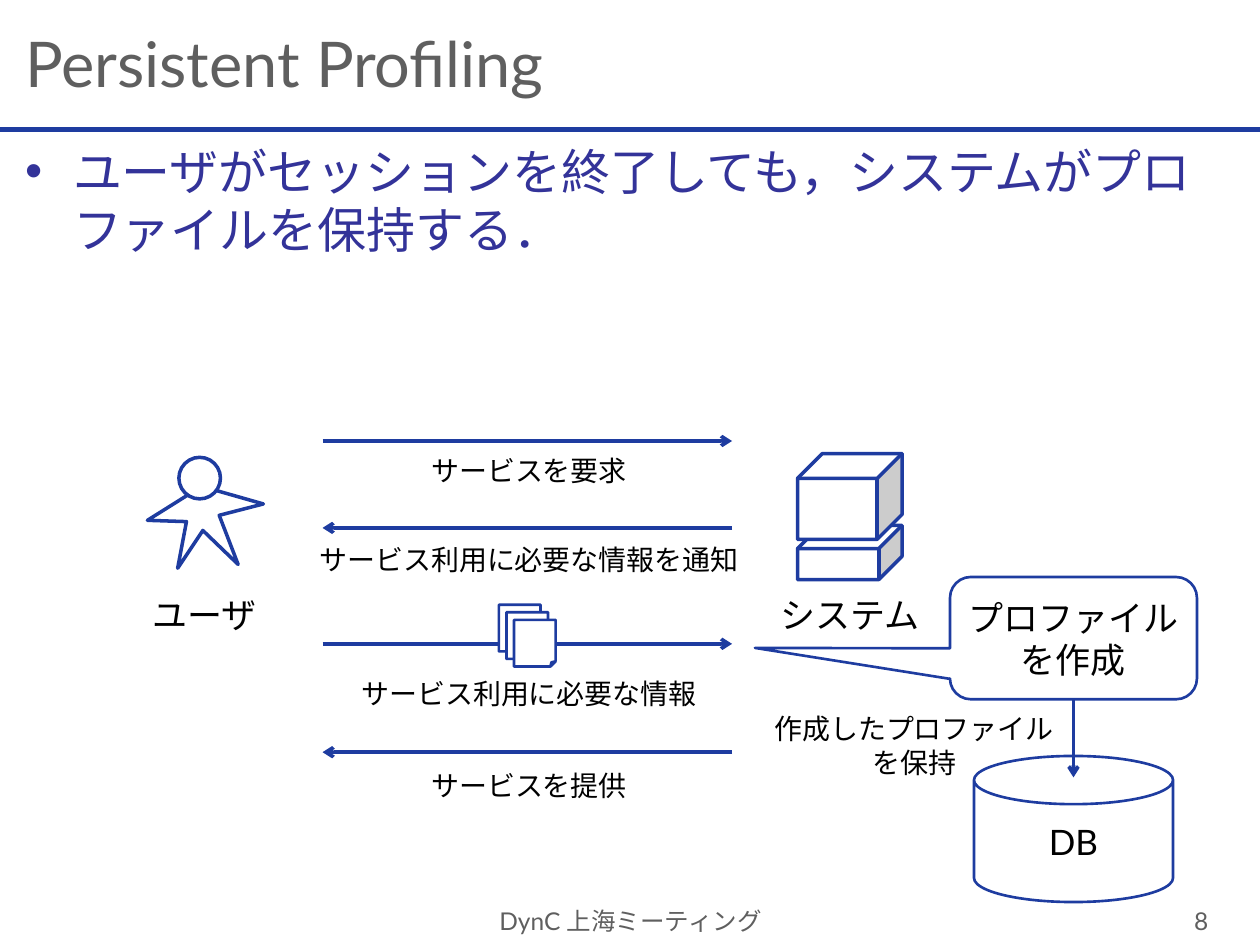
from collections import namedtuple

from lxml.etree import SubElement
from pptx import Presentation
from pptx.dml.color import RGBColor
from pptx.enum.shapes import MSO_CONNECTOR, MSO_SHAPE
from pptx.enum.text import MSO_ANCHOR, MSO_AUTO_SIZE, PP_ALIGN
from pptx.oxml.ns import qn
from pptx.util import Inches, Pt

COLORS = {
    "line": "1E3CA0",
    "body": "333399",
    "gray": "5F5F5F",
    "text": "000000",
    "fill": "FFFFFF",
}
FONT = "Lato"
Box = namedtuple("Box", "left top width height")


def color(name):
    return RGBColor.from_string(COLORS[name])


def place(shape, box):
    shape.left, shape.top, shape.width, shape.height = map(Inches, box)


def write(shape, lines, size, ink="text", align=PP_ALIGN.CENTER, anchor=MSO_ANCHOR.TOP, wrap=True):
    frame = shape.text_frame
    frame.auto_size = MSO_AUTO_SIZE.NONE
    frame.word_wrap = wrap
    frame.vertical_anchor = anchor
    for number, line in enumerate(lines):
        para = frame.add_paragraph() if number else frame.paragraphs[0]
        para.alignment = align
        span = para.add_run()
        span.text = line
        span.font.name = FONT
        span.font.size = Pt(size)
        span.font.color.rgb = color(ink)


def add_label(page, box, lines, size, **style):
    label = page.shapes.add_textbox(*map(Inches, box))
    write(label, lines, size, **style)


def paint(shape, weight):
    shape.shadow.inherit = False
    shape.fill.solid()
    shape.fill.fore_color.rgb = color("fill")
    shape.line.color.rgb = color("line")
    shape.line.width = Pt(weight)


def add_preset(page, kind, box, weight, guides):
    shape = page.shapes.add_shape(kind, *map(Inches, box))
    paint(shape, weight)
    values = shape._element.spPr.find(qn("a:prstGeom")).get_or_add_avLst()
    for guide in list(values):
        values.remove(guide)
    for name, value in guides.items():
        SubElement(values, qn("a:gd"), name=name, fmla=f"val {round(value * 100000)}")
    return shape


def add_line(page, start, end, weight=2, arrow=True):
    line = page.shapes.add_connector(MSO_CONNECTOR.STRAIGHT, *map(Inches, start + end))
    line.line.color.rgb = color("line")
    line.line.width = Pt(weight)
    if arrow:
        SubElement(line.line._ln, qn("a:tailEnd"), type="arrow")
    SubElement(line._element.spPr, qn("a:effectLst"))
    return line


def add_heading(page, box):
    place(page.shapes.title, box)
    write(page.shapes.title, ["Persistent Profiling"], 36, "gray", PP_ALIGN.LEFT, MSO_ANCHOR.MIDDLE)
    rule = box.top + box.height + 0.12
    add_line(page, (0, rule), (10, rule), 3, arrow=False)


def add_body(page, box):
    body = page.placeholders[1]
    place(body, box)
    write(body, ["ユーザがセッションを終了しても，システムがプロファイルを保持する．"], 28, "body", PP_ALIGN.LEFT)
    para = body.text_frame.paragraphs[0]
    para.space_before = Pt(7)
    props = para._p.get_or_add_pPr()
    props.set("marL", str(Inches(0.38)))
    props.set("indent", str(-Inches(0.38)))
    SubElement(SubElement(props, qn("a:buClr")), qn("a:srgbClr"), val=COLORS["body"])
    SubElement(props, qn("a:buChar"), char="•")


def add_messages(page, box):
    right = box.left + box.width
    messages = [
        (0, 0.05, True, "サービスを要求"),
        (0.69, 0.07, False, "サービス利用に必要な情報を通知"),
        (1.61, 0.21, True, "サービス利用に必要な情報"),
        (2.47, 0.08, False, "サービスを提供"),
    ]
    for drop, gap, to_system, text in messages:
        y = box.top + drop
        ends = [(box.left, y), (right, y)]
        add_line(page, *(ends if to_system else reversed(ends)))
        add_label(page, Box(box.left, y + gap, box.width + 0.03, 0.37), [text], 16, wrap=False)


def add_documents(page, box):
    step = 0.06
    for index in range(3):
        sheet = Box(box.left + step * index, box.top + step * index,
                    box.width - 2 * step, box.height - 2 * step)
        add_preset(page, MSO_SHAPE.FOLDED_CORNER, sheet, 1.5, {"adj": 0.125})


def add_user(page, box):
    points = [(0.06, 0.5), (0.37, 0.51), (0.3, 0.88), (0.5, 0.58),
              (0.78, 0.85), (0.63, 0.46), (0.98, 0.37), (0.49, 0.23)]
    outline = [(Inches(box.left + x), Inches(box.top + y)) for x, y in points]
    builder = page.shapes.build_freeform(*outline[0])
    builder.add_line_segments(outline[1:], close=True)
    paint(builder.convert_to_shape(), 2)
    add_preset(page, MSO_SHAPE.OVAL, Box(box.left + 0.31, box.top, 0.33, 0.33), 2, {})
    add_label(page, Box(box.left, box.top + 1.03, box.width, 0.44), ["ユーザ"], 20, wrap=False)


def add_system(page, box):
    for drop, height, depth in [(0.57, 0.43, 0.43), (0, 0.68, 0.29)]:
        cube = Box(box.left + 0.24, box.top + drop, 0.83, height)
        add_preset(page, MSO_SHAPE.CUBE, cube, 2, {"adj": depth})
    add_label(page, Box(box.left, box.top + 1.06, box.width, 0.44), ["システム"], 20, wrap=False)


def add_storage(page, box):
    middle = box.left + 2.47
    database = add_preset(page, MSO_SHAPE.CAN, Box(middle - 0.79, box.top + 1.42, 1.58, 1.16),
                          1.5, {"adj": 0.33})
    write(database, ["DB"], 20, anchor=MSO_ANCHOR.MIDDLE, wrap=False)
    callout = add_preset(page, MSO_SHAPE.ROUNDED_RECTANGULAR_CALLOUT,
                         Box(middle - 0.98, box.top, 1.96, 0.97), 1.5,
                         {"adj1": -1.29, "adj2": 0.08, "adj3": 0.17})
    write(callout, ["プロファイル", "を作成"], 20, anchor=MSO_ANCHOR.MIDDLE, wrap=False)
    arrow = add_line(page, (middle, box.top + 0.97), (middle, box.top + 1.59))
    arrow.begin_connect(callout, 2)
    add_label(page, Box(box.left, box.top + 1.02, 2.41, 0.64),
              ["作成したプロファイル", "を保持"], 16, wrap=False)


def add_footer(page, box):
    add_label(page, Box(box.left, box.top, 3.17, box.height), ["DynC 上海ミーティング"], 14, ink="gray")
    add_label(page, Box(box.left + box.width - 2.33, box.top, 2.33, box.height), ["8"], 14,
              ink="gray", align=PP_ALIGN.RIGHT)


def main():
    deck = Presentation()
    deck.slide_width, deck.slide_height = Inches(10), Inches(7.5)
    page = deck.slides.add_slide(deck.slide_layouts[1])
    add_heading(page, Box(0.1, 0.08, 9.9, 0.83))
    add_body(page, Box(0.1, 1.07, 9.9, 1.04))
    add_messages(page, Box(2.56, 3.5, 3.25, 2.47))
    add_documents(page, Box(3.96, 4.8, 0.45, 0.49))
    add_user(page, Box(1.11, 3.63, 1.03, 1.47))
    add_system(page, Box(6.09, 3.6, 1.31, 1.5))
    add_storage(page, Box(6.05, 4.58, 3.45, 2.58))
    add_footer(page, Box(3.42, 7.14, 6.27, 0.36))
    deck.save("out.pptx")


if __name__ == "__main__":
    main()
